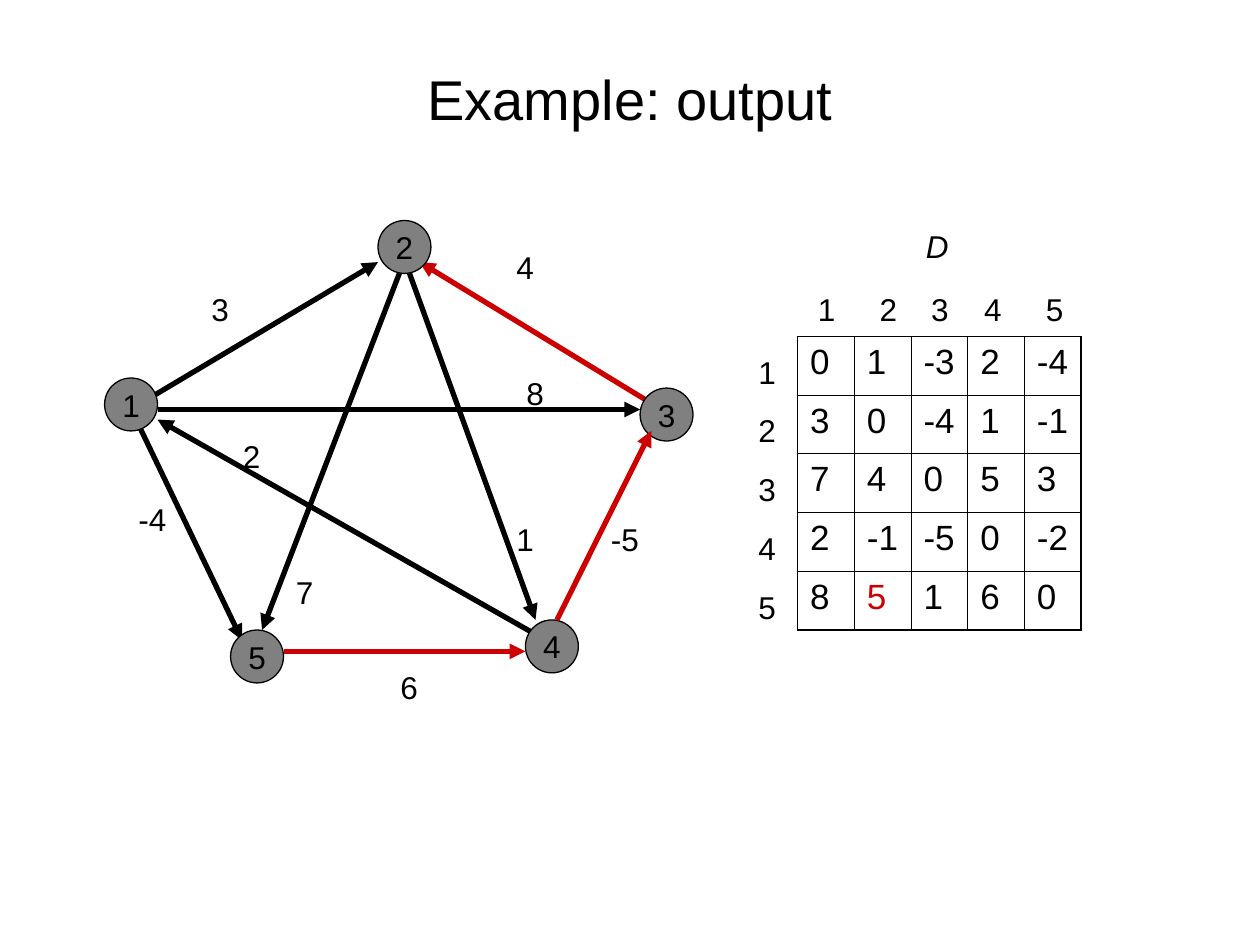
from pptx import Presentation
from pptx.dml.color import RGBColor
from pptx.enum.shapes import MSO_CONNECTOR as CONN, MSO_SHAPE as SHAPE
from pptx.enum.text import MSO_ANCHOR as ANCHOR, PP_ALIGN as ALIGN
from pptx.oxml import parse_xml
from pptx.oxml.ns import nsdecls, qn
from pptx.util import Inches, Pt

BLACK, RED, GREY = "000000", "CC0000", "808080"

NODE_SIZE = 0.42
NODES = {"2": (3, 1.75), "1": (0.83, 3), "5": (1.83, 5), "3": (5.08, 3.08), "4": (4.17, 4.92)}
EDGES_BEHIND = [
    ((1.08, 3.33), (1.92, 5.08), BLACK),
    ((5.25, 3.25), (3.33, 2.08), RED),
    ((4.33, 5.08), (1.25, 3.33), BLACK),
    ((1.17, 3.17), (3, 2.08), BLACK),
]
EDGES_IN_FRONT = [
    ((2.25, 5.17), (4.17, 5.17), RED),
    ((4.42, 4.92), (5.17, 3.42), RED),
    ((3.17, 2.17), (2.08, 5), BLACK),
    ((3.25, 2.17), (4.25, 4.92), BLACK),
    ((1.25, 3.25), (5.08, 3.25), BLACK),
]
WEIGHTS = [
    ("3", 1.58, 2.25, 0.42), ("4", 4, 1.92, 0.58), ("8", 4.08, 2.92, 0.42),
    ("-4", 1, 3.92, 0.58), ("6", 3.08, 5.25, 0.67), ("2", 1.83, 3.42, 0.33),
    ("1", 4, 4.08, 0.25), ("-5", 4.75, 4.08, 0.5), ("7", 2.25, 4.5, 0.33),
]
DISTANCES = [
    [0, 1, -3, 2, -4],
    [3, 0, -4, 1, -1],
    [7, 4, 0, 5, 3],
    [2, -1, -5, 0, -2],
    [8, 5, 1, 6, 0],
]
CHANGED_CELL = (4, 1)
VERTICES = "12345"


def rgb(value):
    return RGBColor.from_string(value)


def write(tf, text, size=18, color=BLACK, font="Arial", italic=False, align=ALIGN.LEFT, before=0):
    """Fill a text frame, one paragraph per line of text."""
    for i, line in enumerate(text.split("\n")):
        p = tf.paragraphs[0] if i == 0 else tf.add_paragraph()
        p.alignment = align
        p.space_before = Pt(before)
        r = p.add_run()
        r.text = line
        r.font.size, r.font.name, r.font.italic = Pt(size), font, italic
        r.font.color.rgb = rgb(color)


class GraphSlide:
    def __init__(self, prs):
        self.slide = prs.slides.add_slide(prs.slide_layouts[5])
        self.shapes = self.slide.shapes
        self.edge_width = 3
        self.outline = 0.75
        self.grid_line, self.frame_line = 0.45, 1.08
        self.label_height = 0.4

    def title(self, text, x, y, w, h):
        sp = self.shapes.title
        sp.left, sp.top, sp.width, sp.height = map(Inches, (x, y, w, h))
        sp.text_frame.vertical_anchor = ANCHOR.MIDDLE
        write(sp.text_frame, text, size=32, align=ALIGN.CENTER)

    def edge(self, start, end, color):
        line = self.shapes.add_connector(CONN.STRAIGHT, *map(Inches, start + end))
        line.line.color.rgb = rgb(color)
        line.line.width = Pt(self.edge_width)
        ln = line.line._get_or_add_ln()
        ln.append(parse_xml(f'<a:tailEnd {nsdecls("a")} type="triangle"/>'))
        line._element.spPr.append(parse_xml(f'<a:effectLst {nsdecls("a")}/>'))

    def node(self, text, x, y):
        sp = self.shapes.add_shape(SHAPE.OVAL, *map(Inches, (x, y, NODE_SIZE, NODE_SIZE)))
        sp.shadow.inherit = False
        sp.fill.solid()
        sp.fill.fore_color.rgb = rgb(GREY)
        sp.line.color.rgb = rgb(BLACK)
        sp.line.width = Pt(self.outline)
        tf = sp.text_frame
        tf.word_wrap = False
        tf.vertical_anchor = ANCHOR.MIDDLE
        tf.margin_left = tf.margin_right = tf.margin_top = tf.margin_bottom = Inches(0.05)
        write(tf, text, align=ALIGN.CENTER)

    def label(self, text, x, y, w, h=None, **fmt):
        sp = self.shapes.add_textbox(*map(Inches, (x, y, w, h or self.label_height)))
        sp.text_frame.word_wrap = True
        write(sp.text_frame, text, **fmt)
        return sp.text_frame

    def column_heads(self, names, x, y, w, indent, stops):
        """Put the names on one line, set apart by tab stops."""
        tf = self.label("\t".join(names), x, y, w)
        tf.margin_left = Inches(indent)
        tabs = "".join(f'<a:tab pos="{Inches(s)}" algn="l"/>' for s in stops)
        pPr = tf.paragraphs[0]._p.get_or_add_pPr()
        pPr.append(parse_xml(f'<a:tabLst {nsdecls("a")}>{tabs}</a:tabLst>'))

    def matrix(self, rows, x, y, w, h, marked):
        n = len(rows)
        table = self.shapes.add_table(n, n, *map(Inches, (x, y, w, h))).table
        table.first_row = table.horz_banding = False
        for i, row in enumerate(rows):
            table.rows[i].height = Inches(h / n)
            table.columns[i].width = Inches(w / n)
            for j, value in enumerate(row):
                cell = table.cell(i, j)
                color = RED if (i, j) == marked else BLACK
                write(cell.text_frame, str(value), size=20, color=color, before=5)
                self.borders(cell, L=j == 0, R=j == n - 1, T=i == 0, B=i == n - 1)
                cell.fill.background()

    def borders(self, cell, **outer):
        """Draw each side, heavier where it lies on the frame of the table."""
        tcPr = cell._tc.get_or_add_tcPr()
        for side, on_frame in outer.items():
            width = Pt(self.frame_line if on_frame else self.grid_line)
            ln = parse_xml(
                f'<a:ln{side} {nsdecls("a")} w="{width}"><a:solidFill>'
                f'<a:srgbClr val="{BLACK}"/></a:solidFill></a:ln{side}>')
            tcPr.append(ln)


def main():
    prs = Presentation()
    prs.slide_width, prs.slide_height = Inches(10), Inches(7.5)
    s = GraphSlide(prs)
    s.title("Example: output", 0.5, 0.3, 9, 0.95)

    for edge in EDGES_BEHIND:
        s.edge(*edge)
    for name, place in NODES.items():
        s.node(name, *place)
    for edge in EDGES_IN_FRONT:
        s.edge(*edge)
    for weight in WEIGHTS:
        s.label(*weight)

    s.matrix(DISTANCES, 6.33, 2.67, 2.25, 2.33, CHANGED_CELL)
    s.column_heads(VERTICES, 6.25, 2.25, 3.25, indent=0.24, stops=(0.49, 0.9, 1.32, 1.81))
    s.label("\n".join(VERTICES), 5.92, 2.75, 0.58, 2.23, before=12)
    s.label("D", 7.25, 1.75, 0.75, italic=True)
    prs.save("out.pptx")


if __name__ == "__main__":
    main()
